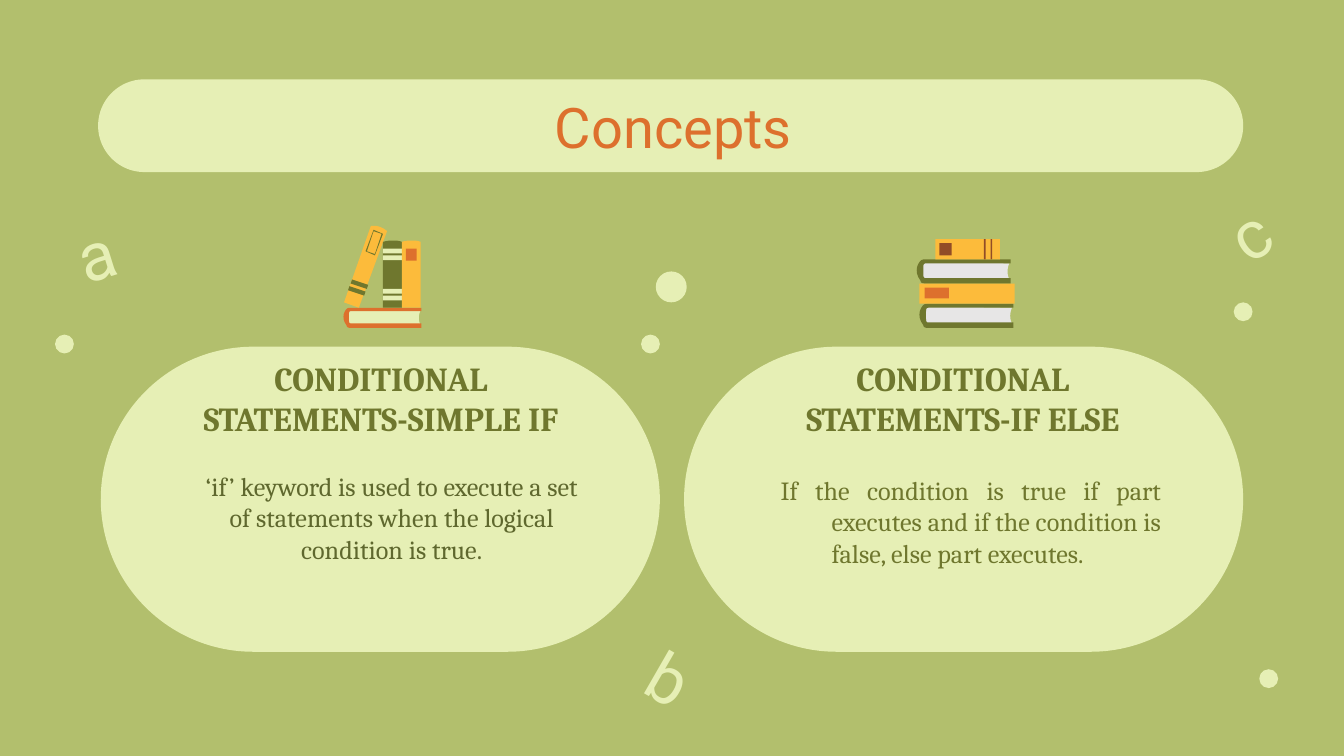
from pptx import Presentation, util as u
from pptx.dml import color
from pptx.enum import shapes, text

HUES = {
    "moss": "B2BF6D", "pale": "E6EFB5", "olive": "6F772E", "dark": "5F682E",
    "rust": "DD702D", "gold": "FCBB3B", "grey": "E7E6E6", "brown": "914D27",
}
RECT = shapes.MSO_SHAPE.RECTANGLE
OVAL = shapes.MSO_SHAPE.OVAL
PILL = shapes.MSO_SHAPE.ROUNDED_RECTANGLE
MID = text.PP_ALIGN.CENTER
LEFT = text.PP_ALIGN.LEFT
FULL = text.PP_ALIGN.JUSTIFY

PAGES = [(0.7, 0.2), (0.7, 1.5), (7.2, 1.5), (6.9, 0.9, 7.2, 0.3, 7.2, 0.3)]
COVER = [
    (0.9, 0), (0.7, 0, 0.6, 0.1, 0.6, 0.1), (0.5, 0.2, 0, 0.8, 0.6, 1.6),
    (0.6, 1.7, 0.7, 1.8, 0.9, 1.8), (7.3, 1.8), (7.3, 1.4), (1, 1.4),
    (0.9, 1.4, 0.8, 1.4, 0.8, 1.1), (0.8, 0.6),
    (0.8, 0.3, 0.9, 0.3, 1, 0.3), (7.3, 0.3), (7.3, 0),
]
SPINE = [
    (0.7, 0), (0.3, 0, 0, 0.1, 0, 0.1), (0, 5), (1.4, 5), (1.4, 0.1),
    (1.2, 0, 0.9, 0, 0.7, 0),
]
TILT = [(27.8, 16.8), (27.8, 16.8, 27.7, 16.8, 27.6, 16.8), (25.6, 22.5),
        (26.7, 22.9), (28.8, 17.2), (28.8, 17.2, 28.4, 16.8, 27.8, 16.8)]
FRAME = [
    [(27.8, 17.1), (27.2, 18.7), (27.9, 19), (28.5, 17.4)],
    [(27.8, 17.2), (28.4, 17.4), (27.9, 18.9), (27.3, 18.7)],
]
BAND = [(0.1, 0), (0, 0.3), (1.2, 0.7), (1.3, 0.4)]


def trace(steps, num=8):
    """Turn points and cubic curves into a list of points."""
    dots = []
    for step in steps:
        if len(step) == 2:
            dots.append(step)
            continue
        a, b, c, d = dots[-1], step[:2], step[2:4], step[4:]
        for i in range(1, num + 1):
            t = i / num
            s = 1 - t
            dots.append(tuple(
                s**3 * a[k] + 3 * s * s * t * b[k]
                + 3 * s * t * t * c[k] + t**3 * d[k] for k in (0, 1)))
    return dots


class Page:
    """Holds the style and the slide, on a grid of 100 square columns."""

    def __init__(self, deck):
        self.cell = deck.slide_width / 100
        self.slide = deck.slides.add_slide(deck.slide_layouts[6])
        self.pen = self.slide.shapes
        self.paint(self.slide.background.fill, "moss")

    def paint(self, fill, hue):
        """Fill with a named colour."""
        fill.solid()
        fill.fore_color.rgb = color.RGBColor.from_string(HUES[hue])

    def size(self, *cells):
        """Turn grid cells into slide units."""
        return [round(c * self.cell) for c in cells]

    def plain(self, shape, hue):
        """Give a shape a flat fill and no line."""
        shape.shadow.inherit = False
        self.paint(shape.fill, hue)
        shape.line.fill.background()
        return shape

    def group(self):
        """Draw the next shapes inside a new group."""
        self.pen = self.slide.shapes.add_group_shape().shapes

    def loose(self):
        """Draw the next shapes straight on the slide."""
        self.pen = self.slide.shapes

    def block(self, kind, x, y, w, h, hue):
        """Add a preset shape."""
        shape = self.pen.add_shape(kind, *self.size(x, y, w, h))
        if kind == PILL:
            shape.adjustments[0] = 0.5
        return self.plain(shape, hue)

    def poly(self, rings, hue, x=0, y=0, zoom=1):
        """Add one outline made of one or more closed rings."""
        form = None
        for ring in rings:
            dots = [self.size(x + zoom * a, y + zoom * b)
                    for a, b in trace(ring)]
            if form is None:
                form = self.pen.build_freeform(*dots[0])
            else:
                form.move_to(*dots[0])
            form.add_line_segments(dots[1:], close=True)
        self.plain(form.convert_to_shape(), hue)

    def book(self, x, y, page, cover, zoom=1):
        """Add a lying book."""
        self.poly([PAGES], page, x, y, zoom)
        self.poly([COVER], cover, x, y, zoom)

    def label(self, words, x, y, w, h, size, hue, font="Cambria", bold=False,
              align=MID, turn=0, foot=1, hang=None):
        """Add a text box."""
        box = self.pen.add_textbox(*self.size(x, y, w, h))
        box.rotation = turn
        frame = box.text_frame
        frame.word_wrap = True
        frame.vertical_anchor = text.MSO_ANCHOR.MIDDLE
        edge, base = self.size(1, foot)
        frame.margin_left = frame.margin_right = frame.margin_top = edge
        frame.margin_bottom = base
        frame.text = words
        para = frame.paragraphs[0]
        para.alignment = align
        if hang:
            left, first = self.size(*hang)
            props = para._p.get_or_add_pPr()
            props.set("marL", str(left))
            props.set("indent", str(first))
        run = para.runs[0].font
        run.name, run.size, run.bold = font, u.Pt(size), bold
        run.color.rgb = color.RGBColor.from_string(HUES[hue])


def main():
    """Build the slide."""
    deck = Presentation()
    deck.slide_width, deck.slide_height = u.Inches(10), u.Inches(5.625)
    page = Page(deck)

    page.block(PILL, 7.3, 5.9, 85.2, 6.9, "pale")
    for x in (7.5, 50.9):
        page.block(PILL, x, 25.8, 41.6, 22.7, "pale")
    page.label("‘if’ keyword is used to execute a set of statements when the "
               "logical condition is true.",
               13.4, 32.4, 31.5, 14.5, 14, "dark", foot=3.3)
    page.label("If the condition is true if part executes and if the "
               "condition is false, else part executes.",
               55.9, 32.7, 31.5, 14.5, 14, "olive", align=FULL, foot=3.3,
               hang=(5, -3.8))
    page.label("Concepts", 7.5, 5.8, 85.2, 7.1, 30, "rust", "Roboto")
    for x, tail in ((12.5, "SIMPLE IF"), (55.8, "IF ELSE")):
        page.label(f"CONDITIONAL STATEMENTS-{tail}", x, 26.5, 31.7, 6.2, 18,
                   "olive", bold=True)

    page.group()
    page.book(25.3, 22.9, "pale", "rust", 0.83)
    page.poly([TILT], "gold")
    page.poly(FRAME, "olive")
    for x, y in ((26.1, 20.8), (25.9, 21.3)):
        page.poly([BAND], "olive", x, y)
    page.poly([SPINE], "olive", 28.5, 17.9)
    for y in (21.5, 22, 18.5, 19):
        page.block(RECT, 28.5, y, 1.4, 0.36, "pale")
    page.poly([SPINE], "gold", 29.9, 17.9)
    page.block(RECT, 30.2, 18.5, 0.8, 0.9, "rust")

    page.group()
    for x, y in ((68.1, 22.6), (67.9, 19.3)):
        page.book(x, y, "grey", "olive")
    page.block(RECT, 68.4, 21.1, 7.1, 1.5, "gold")
    page.block(RECT, 68.8, 21.4, 1.8, 0.8, "rust")
    page.block(RECT, 69.6, 17.8, 4.8, 1.5, "gold")
    for x in (73.7, 73.2):
        page.block(RECT, x, 17.8, 0.13, 1.5, "brown")
    page.block(RECT, 69.9, 18.1, 0.9, 0.9, "brown")

    page.loose()
    for x, y, d in ((48.8, 20.2, 2.3), (4.1, 24.9, 1.4), (91.8, 22.5, 1.4),
                    (93.7, 49.8, 1.4), (47.7, 24.9, 1.4)):
        page.block(OVAL, x, y, d, d, "pale")
    for sign, x, y, turn in (("a", 4.8, 15.9, 342.6), ("b", 47.5, 47.5, 29.9),
                             ("c", 90.6, 14.3, 326.2)):
        page.label(sign, x, y, 4.9, 5.9, 36, "pale", "Roboto", align=LEFT,
                   turn=turn)

    deck.save("out.pptx")


if __name__ == "__main__":
    main()
